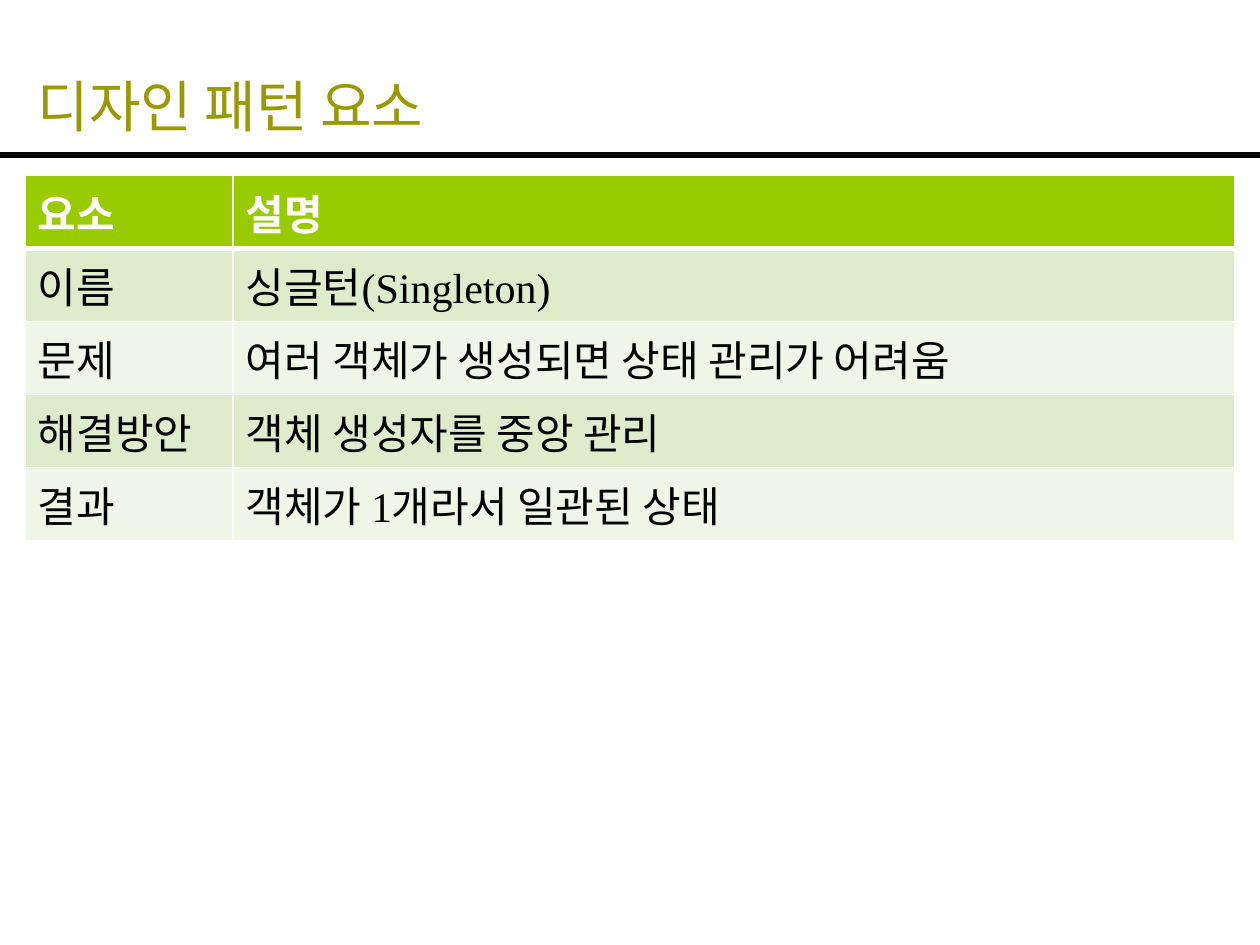
import dataclasses

import lxml.etree
import pptx
import pptx.dml.color
import pptx.enum.shapes
import pptx.enum.text
import pptx.oxml.ns
import pptx.util

Inches = pptx.util.Inches
Pt = pptx.util.Pt
qn = pptx.oxml.ns.qn
SubElement = lxml.etree.SubElement


@dataclasses.dataclass(frozen=True)
class Theme:
    title: str = "999900"
    rule: str = "000000"
    text: str = "000000"
    header_text: str = "FFFFFF"
    header_fill: str = "99CC00"
    bands: tuple = ("DEECCC", "EFF6E7")
    border: str = "FFFFFF"
    border_width: float = 1
    header_border_width: float = 3
    rule_width: float = 3
    title_size: int = 32
    table_size: int = 24
    latin_font: str = "Times New Roman"
    korean_font: str = "Noto Sans CJK KR"


def rgb(value):
    return pptx.dml.color.RGBColor.from_string(value)


class SlideBuilder:
    def __init__(self, s, theme):
        self.s = s
        self.theme = theme

    def style(self, p, size, color, latin, bold=False):
        font = p.font
        font.size = Pt(size)
        font.bold = bold
        font.color.rgb = rgb(color)
        font.name = latin
        props = p._p.pPr.find(qn("a:defRPr"))
        SubElement(props, qn("a:ea"), typeface=self.theme.korean_font)

    def rule(self, y, width):
        line = self.s.shapes.add_connector(
            pptx.enum.shapes.MSO_CONNECTOR.STRAIGHT,
            Inches(0), Inches(y), Inches(width), Inches(y))
        line.line.color.rgb = rgb(self.theme.rule)
        line.line.width = Pt(self.theme.rule_width)
        SubElement(line._element.spPr, qn("a:effectLst"))

    def title(self, text, left, top, width, height):
        sp = self.s.shapes.add_textbox(
            Inches(left), Inches(top), Inches(width), Inches(height))
        tf = sp.text_frame
        tf.word_wrap = True
        tf.vertical_anchor = pptx.enum.text.MSO_ANCHOR.BOTTOM
        p = tf.paragraphs[0]
        p.text = text
        self.style(p, self.theme.title_size, self.theme.title, self.theme.korean_font)

    def borders(self, cell, top, bottom):
        one = self.theme.border_width
        props = cell._tc.get_or_add_tcPr()
        for tag, width in (("lnL", one), ("lnR", one), ("lnT", top), ("lnB", bottom)):
            line = SubElement(props, qn(f"a:{tag}"), w=str(Pt(width)))
            fill = SubElement(line, qn("a:solidFill"))
            SubElement(fill, qn("a:srgbClr"), val=self.theme.border)

    def table(self, rows, left, top, col_widths, row_height):
        t = self.theme
        table = self.s.shapes.add_table(
            len(rows), len(col_widths), Inches(left), Inches(top),
            Inches(sum(col_widths)), Inches(row_height * len(rows))).table
        for column, width in zip(table.columns, col_widths):
            column.width = Inches(width)
        for i, row in enumerate(rows):
            header = i == 0
            fill = t.header_fill if header else t.bands[(i - 1) % len(t.bands)]
            color = t.header_text if header else t.text
            above = t.header_border_width if i == 1 else t.border_width
            below = t.header_border_width if header else t.border_width
            for j, text in enumerate(row):
                cell = table.cell(i, j)
                self.borders(cell, above, below)
                cell.fill.solid()
                cell.fill.fore_color.rgb = rgb(fill)
                p = cell.text_frame.paragraphs[0]
                p.text = text
                self.style(p, t.table_size, color, t.latin_font, bold=header)


def main():
    prs = pptx.Presentation()
    prs.slide_width = Inches(10)
    prs.slide_height = Inches(7.5)
    builder = SlideBuilder(prs.slides.add_slide(prs.slide_layouts[6]), Theme())

    builder.rule(1.23, 10)
    builder.title("디자인 패턴 요소", 0.2, 0.3, 9.61, 0.85)
    elements = [
        ("요소", "설명"),
        ("이름", "싱글턴(Singleton)"),
        ("문제", "여러 객체가 생성되면 상태 관리가 어려움"),
        ("해결방안", "객체 생성자를 중앙 관리"),
        ("결과", "객체가 1개라서 일관된 상태"),
    ]
    builder.table(elements, 0.2, 1.39, (1.65, 7.95), 0.58)

    prs.save("out.pptx")


if __name__ == "__main__":
    main()
